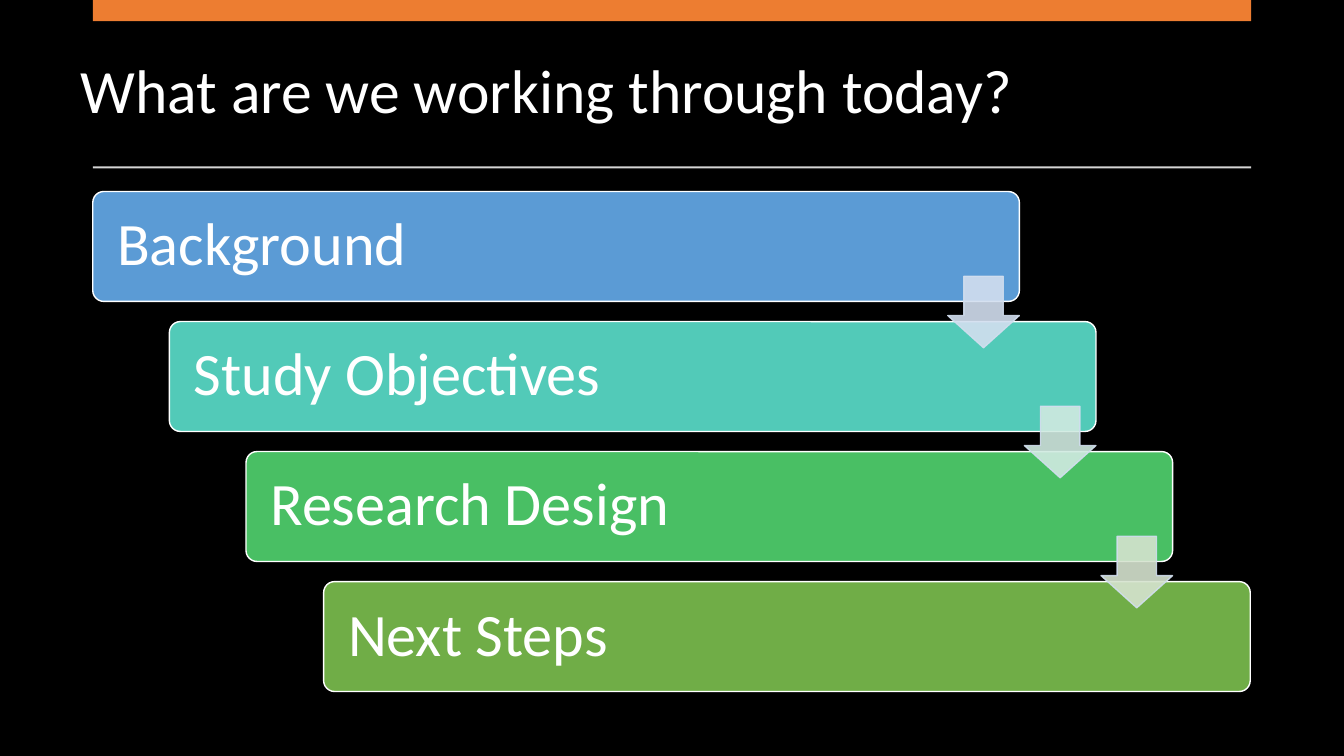
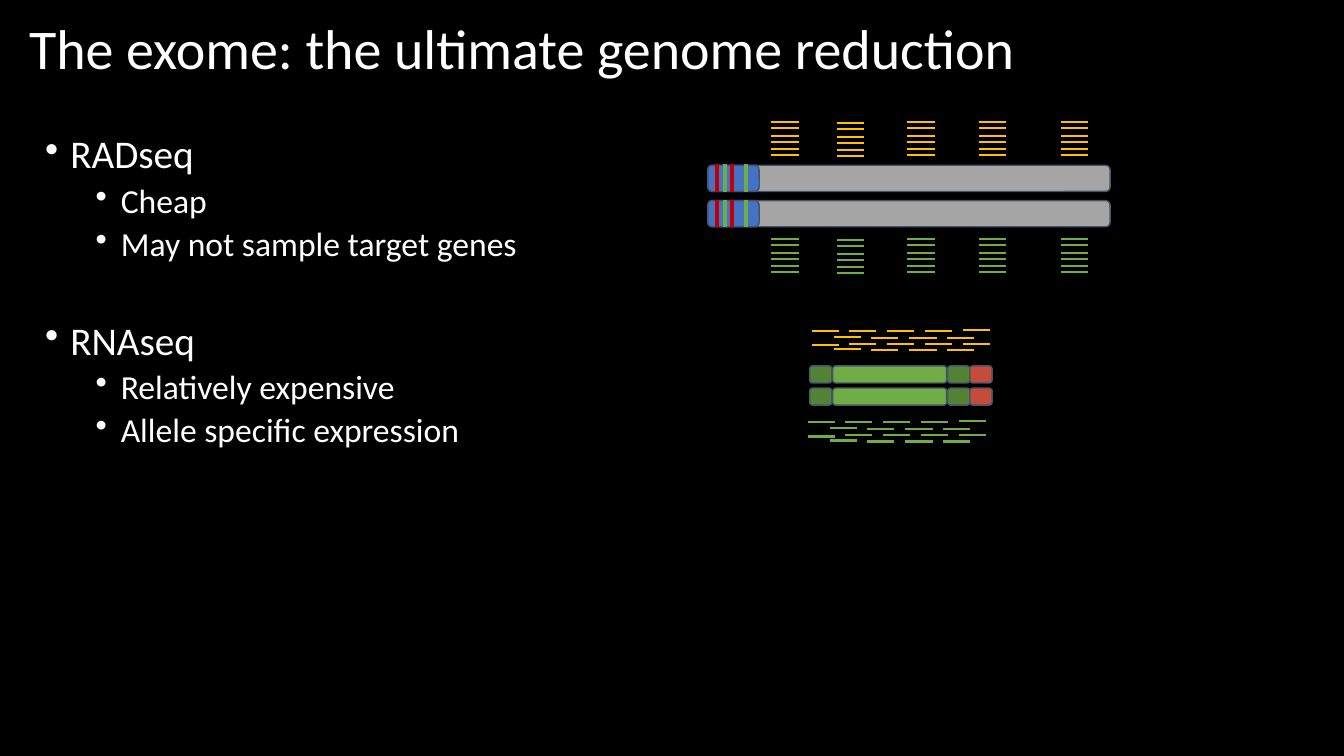
"""Build two slides: the talk outline and the exome sequencing comparison."""
from pptx import Presentation
from pptx.dml.color import RGBColor
from pptx.enum.shapes import MSO_CONNECTOR, MSO_SHAPE
from pptx.enum.text import MSO_ANCHOR, PP_ALIGN
from pptx.oxml.ns import qn
from pptx.oxml.xmlchemy import OxmlElement
from pptx.util import Pt

SCALE = 9144
FONT = "Calibri"
COLORS = {
    "background": "000000", "text": "FFFFFF", "band": "ED7D31", "rule": "D5D5D5",
    "background_step": "5B9BD5", "objectives_step": "52CAB8",
    "design_step": "49BF64", "next_step": "70AD47",
    "arrow_1": "D2DEEF", "arrow_2": "D0EAE1", "arrow_3": "D5E3CF",
    "arrow_edge": "D2DEEF", "outline": "44546A",
    "chromosome": "A5A5A5", "target": "4472C4", "red_site": "C00000",
    "yellow": "FFC000", "green": "70AD47", "utr": "548235", "tail": "C54C3A",
}
STEPS = [
    ("Background", "background_step"),
    ("Study Objectives", "objectives_step"),
    ("Research Design", "design_step"),
    ("Next Steps", "next_step"),
]
METHODS = [
    ("RADseq", ["Cheap", "May not sample target genes"]),
    ("RNAseq", ["Relatively expensive", "Allele specific expression"]),
]
READ_LENGTH = 27
RAD_COLUMNS = [(765, 0), (830, 1), (900, 0), (971, 0), (1052, 0)]
RAD_ROWS = [0, 6, 14, 20, 27, 33]
RNA_ROWS = [
    (0, [1, 1, 1, 1, 0]),
    (22, [7, 8, 8, 8]),
    (0, [15, 14, 14, 14, 14]),
    (22, [19, 20, 20, 20]),
]
SITES = [(711, "red_site"), (726, "red_site"), (719, "green"), (740, "green")]
GENE_PARTS = [(803, 22, "utr"), (826, 113, "green"), (940, 22, "utr"), (962, 22, "tail")]


def px(*lengths):
    return [length * SCALE for length in lengths]


def color(name):
    return RGBColor.from_string(COLORS[name])


def add_slide(deck):
    slide = deck.slides.add_slide(deck.slide_layouts[6])
    slide.background.fill.solid()
    slide.background.fill.fore_color.rgb = color("background")
    return slide


def style_text(paragraph, size):
    paragraph.alignment = PP_ALIGN.LEFT
    paragraph.line_spacing = 0.9
    for run in paragraph.runs:
        run.font.name = FONT
        run.font.size = Pt(size)
        run.font.color.rgb = color("text")


def add_title(slide, text, box, size):
    frame = slide.shapes.add_textbox(*px(*box)).text_frame
    frame.word_wrap = True
    frame.vertical_anchor = MSO_ANCHOR.MIDDLE
    frame.text = text
    style_text(frame.paragraphs[0], size)


def add_block(slide, preset, box, fill, edge=None, adjustments=()):
    block = slide.shapes.add_shape(preset, *px(*box))
    block.shadow.inherit = False
    block.fill.solid()
    block.fill.fore_color.rgb = color(fill)
    if edge:
        block.line.color.rgb = color(edge)
        block.line.width = Pt(1)
    else:
        block.line.fill.background()
    for index, value in enumerate(adjustments):
        block.adjustments[index] = value
    return block


def add_line(slide, start, end, stroke, width):
    line = slide.shapes.add_connector(MSO_CONNECTOR.STRAIGHT, *px(*start, *end))
    line.line.color.rgb = color(stroke)
    line.line.width = Pt(width)
    line._element.spPr.append(OxmlElement("a:effectLst"))


def add_step(slide, text, left, top, fill):
    step = add_block(slide, MSO_SHAPE.ROUNDED_RECTANGLE, (left, top, 919, 109),
                     fill, "text", [0.1])
    frame = step.text_frame
    frame.margin_left, frame.margin_right = px(21, 18)
    frame.vertical_anchor = MSO_ANCHOR.MIDDLE
    frame.text = text
    style_text(frame.paragraphs[0], 43)


def add_step_arrow(slide, left, top, fill):
    arrow = add_block(slide, MSO_SHAPE.DOWN_ARROW, (left, top, 71, 71),
                      fill, "arrow_edge", [0.55, 0.45])
    for tint in arrow._element.spPr.iter(qn("a:srgbClr")):
        alpha = OxmlElement("a:alpha")
        alpha.set("val", "90000")
        tint.append(alpha)


def add_bullet(paragraph, text, level, space_before):
    paragraph.text = text
    paragraph.level = level
    properties = paragraph._p.get_or_add_pPr()
    margin, hanging = px(25 + 50 * level, -25)
    properties.set("marL", str(margin))
    properties.set("indent", str(hanging))
    bullet = OxmlElement("a:buChar")
    bullet.set("char", "•")
    properties.append(bullet)
    paragraph.space_before = Pt(space_before)
    style_text(paragraph, 24 if level else 28)


def add_methods(slide):
    frame = slide.shapes.add_textbox(*px(35, 129, 584, 637)).text_frame
    frame.word_wrap = True
    for number, (method, traits) in enumerate(METHODS):
        heading = frame.add_paragraph() if number else frame.paragraphs[0]
        add_bullet(heading, method, 0, 41 if number else 0)
        for trait in traits:
            add_bullet(frame.add_paragraph(), trait, 1, 5)


def add_pair(slide, left, tops, width, height, fill):
    for top in tops:
        add_block(slide, MSO_SHAPE.ROUNDED_RECTANGLE, (left, top, width, height),
                  fill, "outline")


def add_read(slide, left, top, stroke):
    add_line(slide, (left, top), (left + READ_LENGTH, top), stroke, 1.5)


def add_rad_reads(slide, top, stroke):
    for left, drop in RAD_COLUMNS:
        for row in RAD_ROWS:
            add_read(slide, left, top + drop + row, stroke)


def add_rna_reads(slide, left, top, stroke):
    for shift, drops in RNA_ROWS:
        for column, drop in enumerate(drops):
            add_read(slide, left + shift + column * 75 // 2, top + drop, stroke)


def build_outline(deck):
    slide = add_slide(deck)
    add_block(slide, MSO_SHAPE.RECTANGLE, (92, 0, 1149, 21), "band")
    add_block(slide, MSO_SHAPE.RECTANGLE, (92, 165, 1149, 2), "rule")
    corners = [(92 + i * 229 // 3, 190 + i * 129) for i in range(len(STEPS))]
    for (text, fill), (left, top) in zip(STEPS, corners):
        add_step(slide, text, left, top, fill)
    for number, (left, top) in enumerate(corners[:-1], 1):
        add_step_arrow(slide, left + 848, top + 84, f"arrow_{number}")
    add_title(slide, "What are we working through today?", (70, 51, 1193, 84), 44)


def build_exome(deck):
    slide = add_slide(deck)
    add_title(slide, "The exome: the ultimate genome reduction", (19, 8, 1296, 85), 40)
    chromosome_tops = (164, 199)
    add_pair(slide, 702, chromosome_tops, 399, 26, "chromosome")
    add_pair(slide, 702, chromosome_tops, 51, 26, "target")
    for left, stroke in SITES:
        for top in chromosome_tops:
            add_line(slide, (left, top - 1), (left, top + 26), stroke, 3)
    add_rad_reads(slide, 121, "yellow")
    add_rad_reads(slide, 237, "green")
    add_methods(slide)
    for left, width, fill in GENE_PARTS:
        add_pair(slide, left, (363, 385), width, 17, fill)
    add_rna_reads(slide, 805, 327, "yellow")
    add_rna_reads(slide, 801, 418, "green")


def main():
    deck = Presentation()
    deck.slide_width, deck.slide_height = px(1333, 750)
    build_outline(deck)
    build_exome(deck)
    deck.save("out.pptx")


if __name__ == "__main__":
    main()
